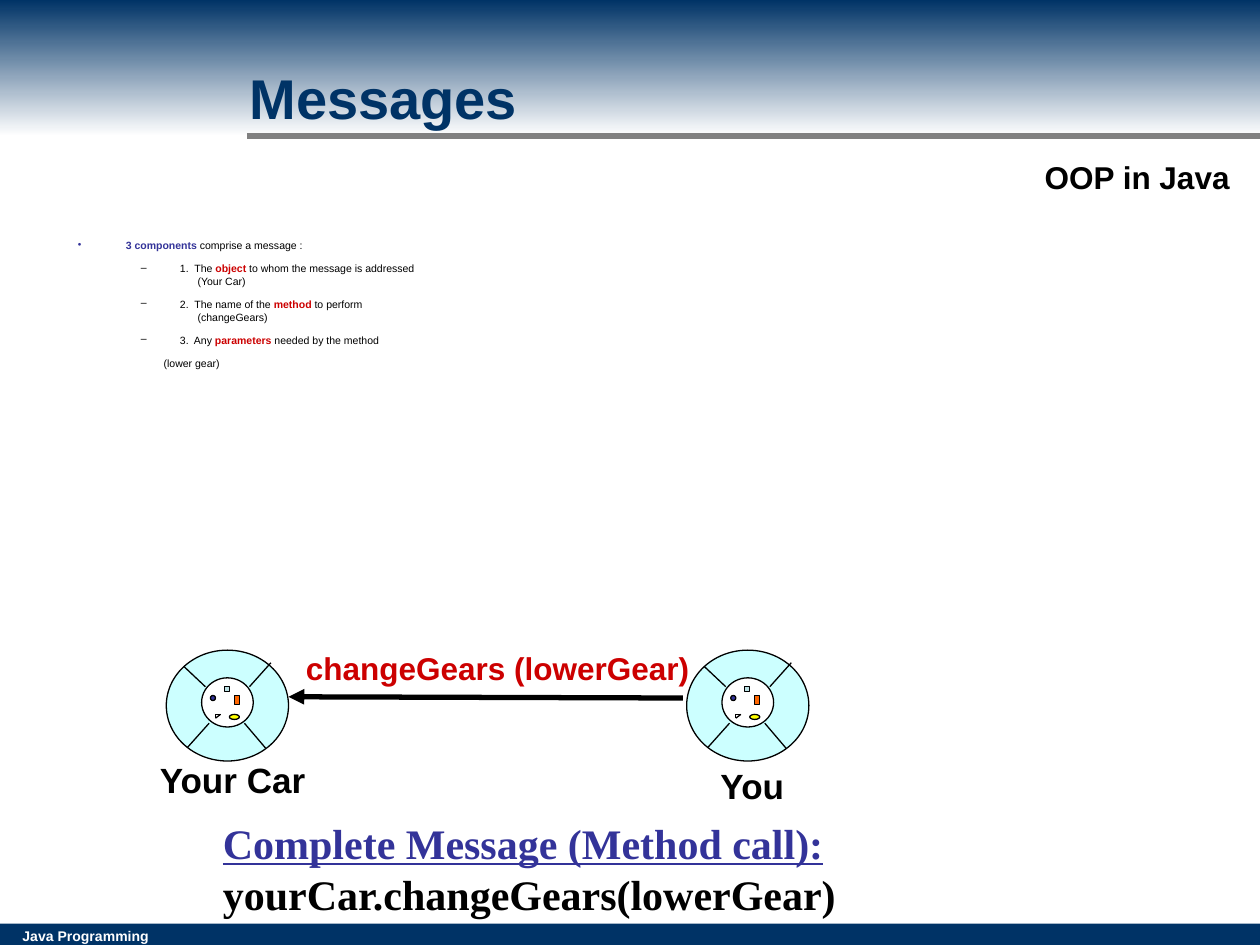
"""Build the slide on the three components of a Java message."""
from lxml.etree import SubElement
from pptx import Presentation
from pptx.dml.color import RGBColor
from pptx.enum.shapes import MSO_CONNECTOR, MSO_SHAPE
from pptx.enum.text import MSO_ANCHOR, MSO_AUTO_SIZE, PP_ALIGN
from pptx.oxml.ns import qn
from pptx.util import Inches, Pt

COLORS = {name: RGBColor.from_string(value) for name, value in {
    "navy": "003366", "white": "FFFFFF", "black": "000000", "gray": "808080",
    "indigo": "333399", "red": "CC0000", "rim": "CCFFFF", "pale": "BBE0E3",
    "orange": "FF6600", "yellow": "FFFF00"}.items()}


def add_line(shapes, start, end, color="black", width=0.75):
    line = shapes.add_connector(MSO_CONNECTOR.STRAIGHT, *map(Inches, start + end))
    line.line.color.rgb = COLORS[color]
    line.line.width = Pt(width)
    SubElement(line.element.spPr, qn("a:effectLst"))
    return line


def add_label(shapes, place, text, size, color="black"):
    box = shapes.add_textbox(*map(Inches, place))
    box.text_frame.word_wrap = True
    para = box.text_frame.paragraphs[0]
    para.text = text
    para.font.name, para.font.size, para.font.bold = "Arial", Pt(size), True
    para.font.color.rgb = COLORS[color]
    return box


deck = Presentation()
deck.slide_width, deck.slide_height = Inches(10), Inches(7.5)
page = deck.slides.add_slide(deck.slide_layouts[5])
title = page.shapes.title

footer = page.shapes.add_shape(MSO_SHAPE.RECTANGLE, 0, Inches(7.33), Inches(10), Inches(0.17))
footer.fill.solid()
footer.fill.fore_color.rgb = COLORS["navy"]
header = page.shapes.add_shape(MSO_SHAPE.RECTANGLE, 0, 0, Inches(10), Inches(1.08))
header.fill.gradient()
header.fill.gradient_angle = 270
for stop, position, color in zip(header.fill.gradient_stops, (0, 1), ("navy", "white")):
    stop.position = position
    stop.color.rgb = COLORS[color]
for band in (footer, header):
    band.shadow.inherit = False
    band.line.fill.background()
add_label(page.shapes, (0.08, 7.31, 1.26, 0.24), "Java Programming", 8, "white")
add_line(page.shapes, (1.96, 1.08), (10, 1.08), "gray", 3)
course = add_label(page.shapes, (8.18, 1.21, 1.69, 0.38), "OOP in Java", 18)
course.text_frame.vertical_anchor = MSO_ANCHOR.MIDDLE
course.text_frame.paragraphs[0].alignment = PP_ALIGN.CENTER

title.element.getparent().append(title.element)
title.left, title.top, title.width, title.height = map(Inches, (1.88, 0.45, 2.45, 0.64))
title.text_frame.text = "Messages"
title.text_frame.word_wrap = False
title.text_frame.auto_size = MSO_AUTO_SIZE.NONE
title.text_frame.vertical_anchor = MSO_ANCHOR.TOP
para = title.text_frame.paragraphs[0]
para.alignment = PP_ALIGN.LEFT
para.font.name, para.font.size, para.font.bold = "Arial", Pt(32), True
para.font.color.rgb = COLORS["navy"]

WHEEL_PARTS = [
    (MSO_SHAPE.OVAL, (0, 0, 0.97, 0.88), "rim"),
    (MSO_SHAPE.OVAL, (0.28, 0.22, 0.41, 0.39), "white"),
    (MSO_SHAPE.RECTANGLE, (0.46, 0.29, 0.04, 0.04), "pale"),
    (MSO_SHAPE.OVAL, (0.35, 0.36, 0.04, 0.04), "indigo"),
    (MSO_SHAPE.RECTANGLE, (0.54, 0.36, 0.04, 0.07), "orange"),
    (MSO_SHAPE.OVAL, (0.5, 0.51, 0.08, 0.04), "yellow"),
]
WHEEL_LINES = [
    ((0.31, 0.29), (0.14, 0.13)), ((0.66, 0.29), (0.83, 0.1)),
    ((0.62, 0.58), (0.79, 0.78)), ((0.34, 0.58), (0.17, 0.77)),
    ((0.39, 0.51), (0.43, 0.51)), ((0.43, 0.51), (0.39, 0.54)),
    ((0.39, 0.54), (0.39, 0.51)),
]
wheel_top = 5.16
for wheel_left, name, place in [
    (1.32, "Your Car", (1.17, 5.97, 1.58, 0.44)),
    (5.45, "You", (5.62, 6.02, 0.76, 0.44)),
]:
    wheel = page.shapes.add_group_shape().shapes
    for kind, (left, top, width, height), color in WHEEL_PARTS:
        part = wheel.add_shape(kind, Inches(wheel_left + left), Inches(wheel_top + top),
                               Inches(width), Inches(height))
        part.shadow.inherit = False
        part.fill.solid()
        part.fill.fore_color.rgb = COLORS[color]
        part.line.color.rgb = COLORS["black"]
        part.line.width = Pt(0.75)
    for ends in WHEEL_LINES:
        add_line(wheel, *[(wheel_left + x, wheel_top + y) for x, y in ends])
    add_label(wheel, place, name, 20)

message = page.shapes.add_group_shape().shapes
arrow = add_line(message, (5.42, 5.54), (2.29, 5.53), width=3)
SubElement(arrow.line._get_or_add_ln(), qn("a:tailEnd"), type="triangle")
add_label(message, (2.33, 5.1, 3.81, 0.4), "changeGears (lowerGear)", 18, "red")

COMPONENTS = [
    (0, 0.38, -0.38, 6, "•", "indigo", ("", "3 components", " comprise a message :")),
    (1, 0.81, -0.31, 6, "–", "red", ("1.  The ", "object", " to whom the message is addressed")),
    (1, 0.95, 0, 0, "", "", ("(Your Car)",)),
    (1, 0.81, -0.31, 6, "–", "red", ("2.  The name of the ", "method ", "to perform")),
    (1, 0.95, 0, 0, "", "", ("(changeGears)",)),
    (1, 0.81, -0.31, 6, "–", "red", ("3.  Any ", "parameters", " needed by the method")),
    (1, 0.68, 0, 6, "", "", ("(lower gear)",)),
]
box = page.shapes.add_textbox(Inches(0.52), Inches(1.85), Inches(9.08), Inches(1.17))
box.text_frame.word_wrap = True
for index, (level, margin, indent, space, bullet, accent, texts) in enumerate(COMPONENTS):
    para = box.text_frame.add_paragraph() if index else box.text_frame.paragraphs[0]
    para.level = level
    para.space_before = Pt(space)
    para.font.name, para.font.size = "Arial", Pt(6)
    para.font.color.rgb = COLORS["black"]
    properties = para._p.get_or_add_pPr()
    properties.set("marL", str(Inches(margin)))
    properties.set("indent", str(Inches(indent)))
    if bullet:
        mark = SubElement(properties, qn("a:buChar"), char=bullet)
        properties.insert_element_before(mark, "a:tabLst", "a:defRPr")
        tint = SubElement(properties, qn("a:buClr"))
        SubElement(tint, qn("a:srgbClr"), val=str(COLORS["black" if level else accent]))
        properties.insert_element_before(tint, "a:buChar")
    for order, text in enumerate(texts):
        if text:
            span = para.add_run()
            span.text = text
            if order == 1:
                span.font.bold = True
                span.font.color.rgb = COLORS[accent]

call = page.shapes.add_textbox(Inches(1.67), Inches(6.44), Inches(6.29), Inches(0.9))
call.text_frame.word_wrap = True
para = call.text_frame.paragraphs[0]
para.font.name, para.font.size, para.font.bold = "Times New Roman", Pt(24), True
for text, color, underlined in [
    ("Complete Message (Method call): ", "indigo", True),
    ("yourCar.changeGears(lowerGear)", "black", False),
]:
    span = para.add_run()
    span.text = text
    span.font.color.rgb = COLORS[color]
    span.font.underline = underlined

deck.save("out.pptx")
